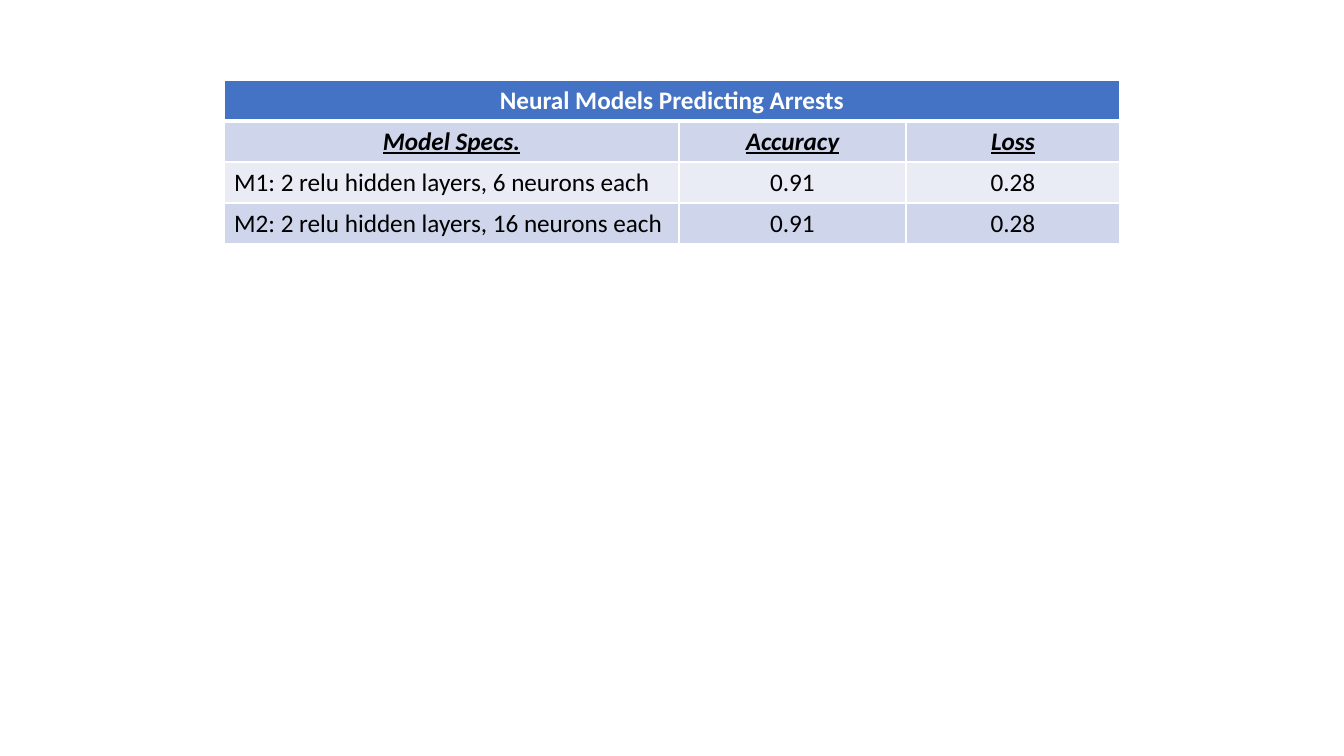
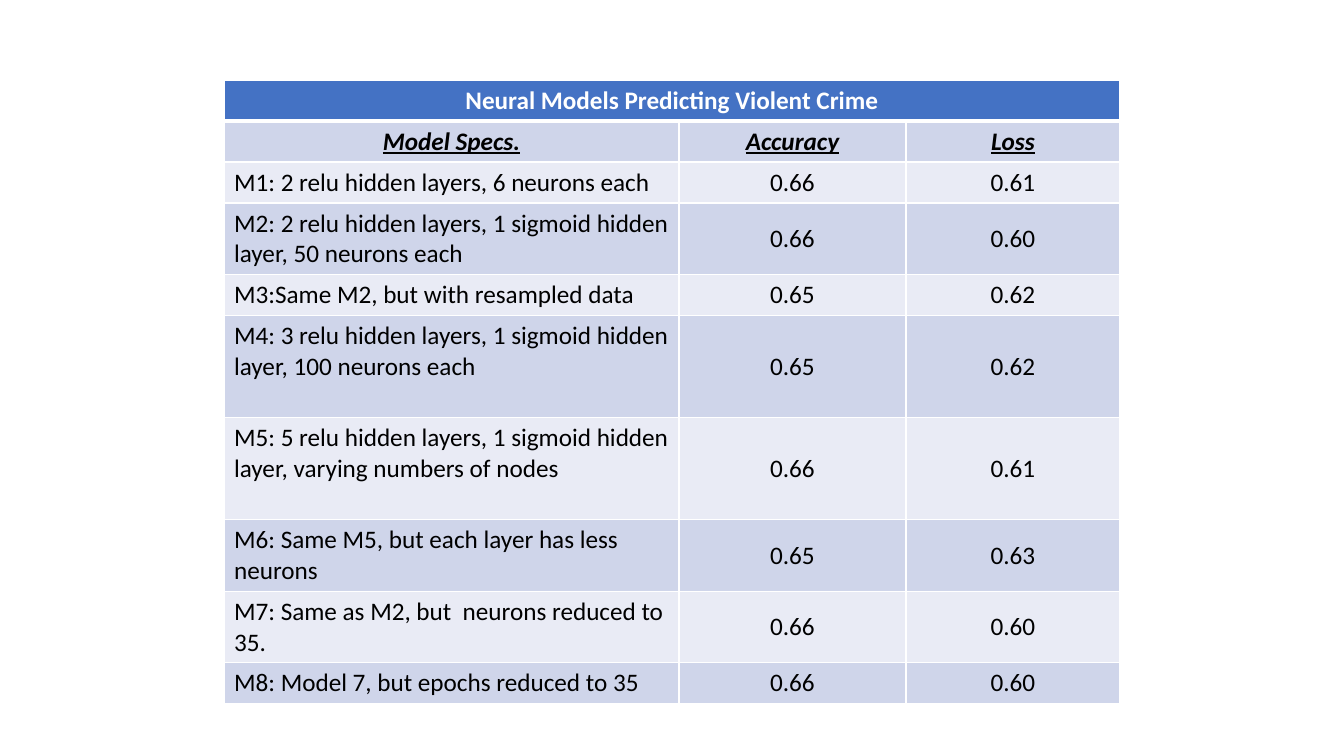
import pptx
import pptx.dml.color
import pptx.enum.text
import pptx.oxml.ns
import pptx.util
from lxml import etree

RGBColor = pptx.dml.color.RGBColor
ALIGN = pptx.enum.text.PP_ALIGN
ANCHOR = pptx.enum.text.MSO_ANCHOR

WHITE = RGBColor(0xFF, 0xFF, 0xFF)
BLACK = RGBColor(0x00, 0x00, 0x00)
BLUE = RGBColor(0x44, 0x72, 0xC4)
BANDS = [RGBColor(0xCF, 0xD5, 0xEA), RGBColor(0xE9, 0xEB, 0xF5)]
FONT = "Calibri"

SLIDE_W, SLIDE_H = 1344, 756
TABLE_X, TABLE_Y = 224, 80
COL_WIDTHS = [455, 227, 214]
ROW_HEIGHTS = {1: 41, 2: 71, 3: 102}

HEADINGS = ("Model Specs.", "Accuracy", "Loss")
TABLES = [
    {
        "title": "Neural Models Predicting Arrests",
        "spec_anchor": ANCHOR.MIDDLE,
        "models": [
            ("M1: 2 relu hidden layers, 6 neurons each", "0.91", "0.28", 1),
            ("M2: 2 relu hidden layers, 16 neurons each", "0.91", "0.28", 1),
        ],
    },
    {
        "title": "Neural Models Predicting Violent Crime",
        "spec_anchor": ANCHOR.TOP,
        "models": [
            ("M1: 2 relu hidden layers, 6 neurons each", "0.66", "0.61", 1),
            ("M2: 2 relu hidden layers, 1 sigmoid hidden layer, 50 neurons each", "0.66", "0.60", 2),
            ("M3:Same M2, but with resampled data", "0.65", "0.62", 1),
            ("M4: 3 relu hidden layers, 1 sigmoid hidden layer, 100 neurons each", "0.65", "0.62", 3),
            ("M5: 5 relu hidden layers, 1 sigmoid hidden layer, varying numbers of nodes", "0.66", "0.61", 3),
            ("M6: Same M5, but each layer has less neurons", "0.65", "0.63", 2),
            ("M7: Same as M2, but  neurons reduced to 35.", "0.66", "0.60", 2),
            ("M8: Model 7, but epochs reduced to 35", "0.66", "0.60", 1),
        ],
    },
]


def px(n):
    return pptx.util.Emu(round(n * 914400 / 100.8))


def set_borders(cell, top=1, bottom=1):
    tc_pr = cell._tc.get_or_add_tcPr()
    qn = pptx.oxml.ns.qn
    for side, width in (("L", 1), ("R", 1), ("T", top), ("B", bottom)):
        ln = etree.SubElement(tc_pr, qn(f"a:ln{side}"), w=str(pptx.util.Pt(width)))
        fill = etree.SubElement(ln, qn("a:solidFill"))
        etree.SubElement(fill, qn("a:srgbClr"), val=str(WHITE))


def set_text(cell, text, color=BLACK, bold=False, italic=False, underline=False,
             align=ALIGN.CENTER, anchor=ANCHOR.MIDDLE):
    cell.vertical_anchor = anchor
    p = cell.text_frame.paragraphs[0]
    p.alignment = align
    r = p.add_run()
    r.text = text
    font = r.font
    font.name, font.size, font.color.rgb = FONT, pptx.util.Pt(18), color
    font.bold, font.italic, font.underline = bold, italic, underline


def add_model_table(slide, title, spec_anchor, models):
    heights = [ROW_HEIGHTS[n] for n in [1, 1] + [m[-1] for m in models]]
    table = slide.shapes.add_table(
        len(heights), len(COL_WIDTHS), px(TABLE_X), px(TABLE_Y),
        px(sum(COL_WIDTHS)), px(sum(heights))).table
    for column, width in zip(table.columns, COL_WIDTHS):
        column.width = px(width)
    for i, (row, height) in enumerate(zip(table.rows, heights)):
        row.height = px(height)
        for cell in row.cells:
            set_borders(cell, top=3 if i == 1 else 1, bottom=3 if i == 0 else 1)
            cell.fill.solid()
            cell.fill.fore_color.rgb = BANDS[(i - 1) % 2] if i else BLUE

    table.cell(0, 0).merge(table.cell(0, len(COL_WIDTHS) - 1))
    set_text(table.cell(0, 0), title, color=WHITE, bold=True)
    for j, heading in enumerate(HEADINGS):
        set_text(table.cell(1, j), heading, bold=True, italic=True, underline=True)
    for i, (spec_text, accuracy, loss, _) in enumerate(models, start=2):
        set_text(table.cell(i, 0), spec_text, align=ALIGN.LEFT, anchor=spec_anchor)
        set_text(table.cell(i, 1), accuracy)
        set_text(table.cell(i, 2), loss)


def main():
    prs = pptx.Presentation()
    prs.slide_width, prs.slide_height = px(SLIDE_W), px(SLIDE_H)
    for content in TABLES:
        slide = prs.slides.add_slide(prs.slide_layouts[6])
        add_model_table(slide, **content)
    prs.save("out.pptx")


if __name__ == "__main__":
    main()
